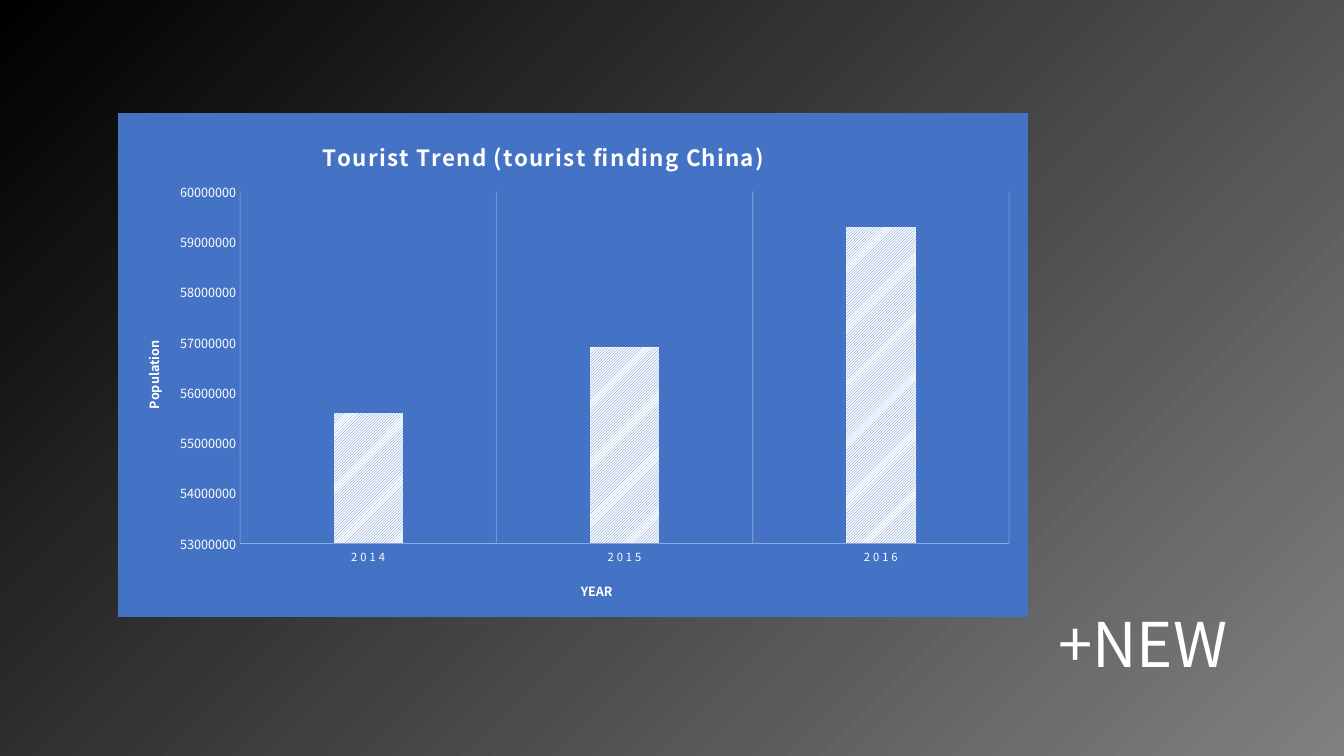
from dataclasses import dataclass

from pptx import Presentation
from pptx.chart.axis import CategoryAxis, ValueAxis
from pptx.chart.chart import Chart
from pptx.chart.data import CategoryChartData
from pptx.dml.color import RGBColor
from pptx.dml.fill import FillFormat
from pptx.enum.chart import XL_CHART_TYPE, XL_TICK_MARK
from pptx.enum.dml import MSO_PATTERN
from pptx.enum.text import MSO_AUTO_SIZE
from pptx.oxml import parse_xml
from pptx.oxml.ns import nsdecls, qn
from pptx.oxml.xmlchemy import BaseOxmlElement
from pptx.slide import Slide
from pptx.text.text import Font
from pptx.util import Pt

COLORS = {
    "panel": "4472C4",
    "white": "FFFFFF",
    "axis": "8FAADC",
    "black": "000000",
    "dark": "404040",
    "light": "808080",
}
FONT = "Noto Sans CJK KR"
CHART_WIDTH, CHART_HEIGHT = 650, 360
TOURISTS = {"2014": 55600000, "2015": 56900000, "2016": 59300000}


@dataclass(frozen=True)
class Heading:
    """A chart or axis title with its place inside the chart, in points."""

    text: str
    left: float
    top: float
    size: float
    spacing: int = 0
    rotation: int = 0


TREND = Heading("Tourist Trend (tourist finding China)", 143, 15, 16, spacing=100)
YEAR = Heading("YEAR", 329, 333, 9)
POPULATION = Heading("Population", 16, 161, 9, rotation=-5400000)


def rgb(name: str) -> RGBColor:
    """Return the named palette colour."""
    return RGBColor.from_string(COLORS[name])


def paint(fill: FillFormat, name: str) -> None:
    """Make a fill solid in a palette colour."""
    fill.solid()
    fill.fore_color.rgb = rgb(name)


def style_font(font: Font, size: float, bold: bool = False) -> None:
    """Set white text in the slide's font."""
    font.name = FONT
    font.size = Pt(size)
    font.bold = bold
    font.color.rgb = rgb("white")


def layout_xml(left: float, top: float, extent: str = "", target: str = "") -> BaseOxmlElement:
    """Build a manual chart layout from points."""
    return parse_xml(
        f'<c:layout {nsdecls("c")}><c:manualLayout>{target}'
        '<c:xMode val="edge"/><c:yMode val="edge"/>'
        f'<c:x val="{left / CHART_WIDTH}"/><c:y val="{top / CHART_HEIGHT}"/>'
        f"{extent}</c:manualLayout></c:layout>"
    )


def add_heading(owner: Chart | CategoryAxis | ValueAxis, heading: Heading) -> None:
    """Write and place the title of a chart or an axis."""
    owner.has_title = True
    title = owner.chart_title if isinstance(owner, Chart) else owner.axis_title
    run = title.text_frame.paragraphs[0].add_run()
    run.text = heading.text
    style_font(run.font, heading.size, bold=True)
    for properties in title.element.xpath(".//a:rPr"):
        properties.set("spc", str(heading.spacing))
    body = title.element.xpath(".//a:bodyPr")[0]
    body.set("rot", str(heading.rotation))
    body.set("vert", "horz")
    for automatic in title.element.findall(qn("c:layout")):
        title.element.remove(automatic)
    title.element.find(qn("c:tx")).addnext(layout_xml(heading.left, heading.top))


def style_year_axis(chart: Chart) -> None:
    """Format the category axis and its translucent gridlines."""
    axis = chart.category_axis
    axis.major_tick_mark = axis.minor_tick_mark = XL_TICK_MARK.NONE
    axis.format.line.width = Pt(0.25)
    paint(axis.format.line.fill, "axis")
    axis.has_major_gridlines = True
    gridline = axis.major_gridlines.format.line
    gridline.width = Pt(0.75)
    paint(gridline.fill, "white")
    grid_color = chart.element.xpath(".//c:catAx/c:majorGridlines//a:srgbClr")[0]
    grid_color.append(parse_xml(f'<a:alpha {nsdecls("a")} val="25000"/>'))
    style_font(axis.tick_labels.font, 8)
    chart.element.xpath(".//c:catAx/c:txPr//a:defRPr")[0].set("spc", "200")
    add_heading(axis, YEAR)


def style_population_axis(axis: ValueAxis) -> None:
    """Format the value axis and its scale."""
    axis.minimum_scale, axis.maximum_scale = 53000000, 60000000
    axis.major_unit = 1000000
    axis.has_major_gridlines = False
    axis.major_tick_mark = axis.minor_tick_mark = XL_TICK_MARK.NONE
    axis.format.line.fill.background()
    axis.tick_labels.number_format = "0"
    axis.tick_labels.number_format_is_linked = False
    style_font(axis.tick_labels.font, 9)
    add_heading(axis, POPULATION)


def style_panel(chart: Chart) -> None:
    """Fill the chart area and fix the plot's inner frame."""
    chart.element.find(qn("c:txPr")).addprevious(parse_xml(
        f'<c:spPr {nsdecls("c", "a")}>'
        f'<a:solidFill><a:srgbClr val="{COLORS["panel"]}"/></a:solidFill>'
        f'<a:ln w="{Pt(0.75)}"><a:solidFill><a:srgbClr val="{COLORS["panel"]}"/>'
        "</a:solidFill></a:ln></c:spPr>"
    ))
    plot_area = chart.element.xpath(".//c:plotArea")[0]
    for automatic in plot_area.findall(qn("c:layout")):
        plot_area.remove(automatic)
    extent = f'<c:w val="{550 / CHART_WIDTH}"/><c:h val="{252 / CHART_HEIGHT}"/>'
    plot_area.insert(0, layout_xml(87, 56, extent, '<c:layoutTarget val="inner"/>'))


def add_tourist_chart(slide: Slide) -> None:
    """Add the column chart of tourists by year."""
    data = CategoryChartData()
    data.categories = list(TOURISTS)
    data.add_series("Series 1", list(TOURISTS.values()))
    chart = slide.shapes.add_chart(
        XL_CHART_TYPE.COLUMN_CLUSTERED,
        Pt(84.25), Pt(80.6), Pt(CHART_WIDTH), Pt(CHART_HEIGHT), data,
    ).chart
    chart.has_legend = False
    style_font(chart.font, 10)
    columns = chart.plots[0]
    columns.gap_width, columns.overlap = 269, -20
    columns.vary_by_categories = False
    series = columns.series[0]
    series.invert_if_negative = False
    hatch = series.format.fill
    hatch.patterned()
    hatch.pattern = MSO_PATTERN.LIGHT_UPWARD_DIAGONAL
    hatch.fore_color.rgb = rgb("panel")
    hatch.back_color.rgb = rgb("white")
    series.format.line.fill.background()
    add_heading(chart, TREND)
    style_year_axis(chart)
    style_population_axis(chart.value_axis)
    style_panel(chart)


def set_background(slide: Slide) -> None:
    """Spread a grey gradient from the lower right corner."""
    slide.background.fill.gradient()
    gradient = slide.element.xpath(".//p:bgPr/a:gradFill")[0]
    stops = "".join(
        f'<a:gs pos="{position}"><a:srgbClr val="{COLORS[name]}"/></a:gs>'
        for position, name in ((0, "dark"), (0, "light"), (100000, "black"))
    )
    gradient.getparent().replace(gradient, parse_xml(
        f'<a:gradFill {nsdecls("a")} rotWithShape="1"><a:gsLst>{stops}</a:gsLst>'
        '<a:path path="circle"><a:fillToRect l="100000" t="100000"/></a:path>'
        '<a:tileRect r="-100000" b="-100000"/></a:gradFill>'
    ))


def add_new_label(slide: Slide) -> None:
    """Add the large label below the chart."""
    frame = slide.shapes.add_textbox(Pt(748.8), Pt(429), Pt(713.5), Pt(60.5)).text_frame
    frame.word_wrap = True
    frame.auto_size = MSO_AUTO_SIZE.SHAPE_TO_FIT_TEXT
    run = frame.paragraphs[0].add_run()
    run.text = "+NEW"
    style_font(run.font, 44)


def main() -> None:
    """Build and save the slide."""
    deck = Presentation()
    deck.slide_width, deck.slide_height = Pt(960), Pt(540)
    slide = deck.slides.add_slide(deck.slide_layouts[6])
    set_background(slide)
    add_tourist_chart(slide)
    add_new_label(slide)
    deck.save("out.pptx")


if __name__ == "__main__":
    main()
